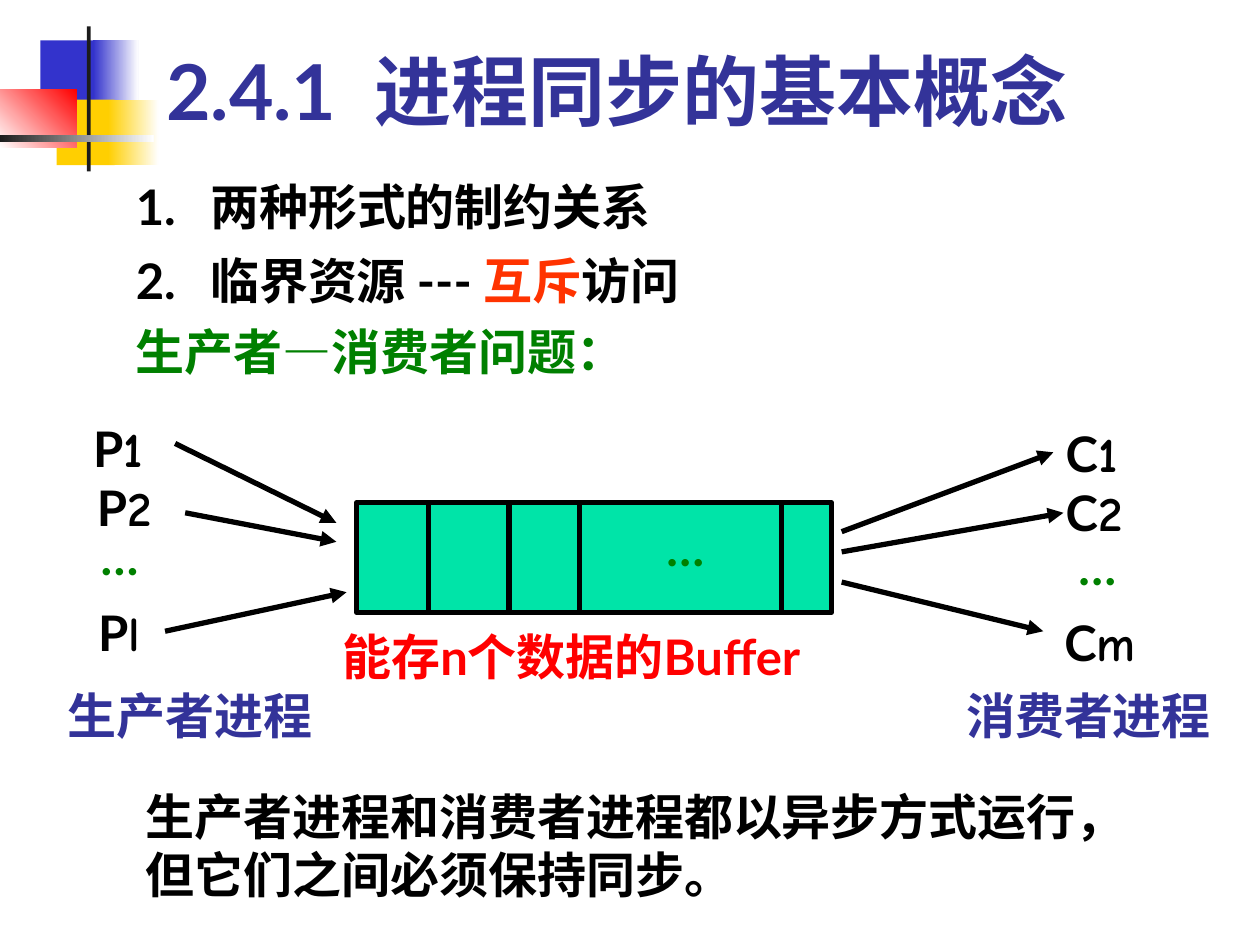
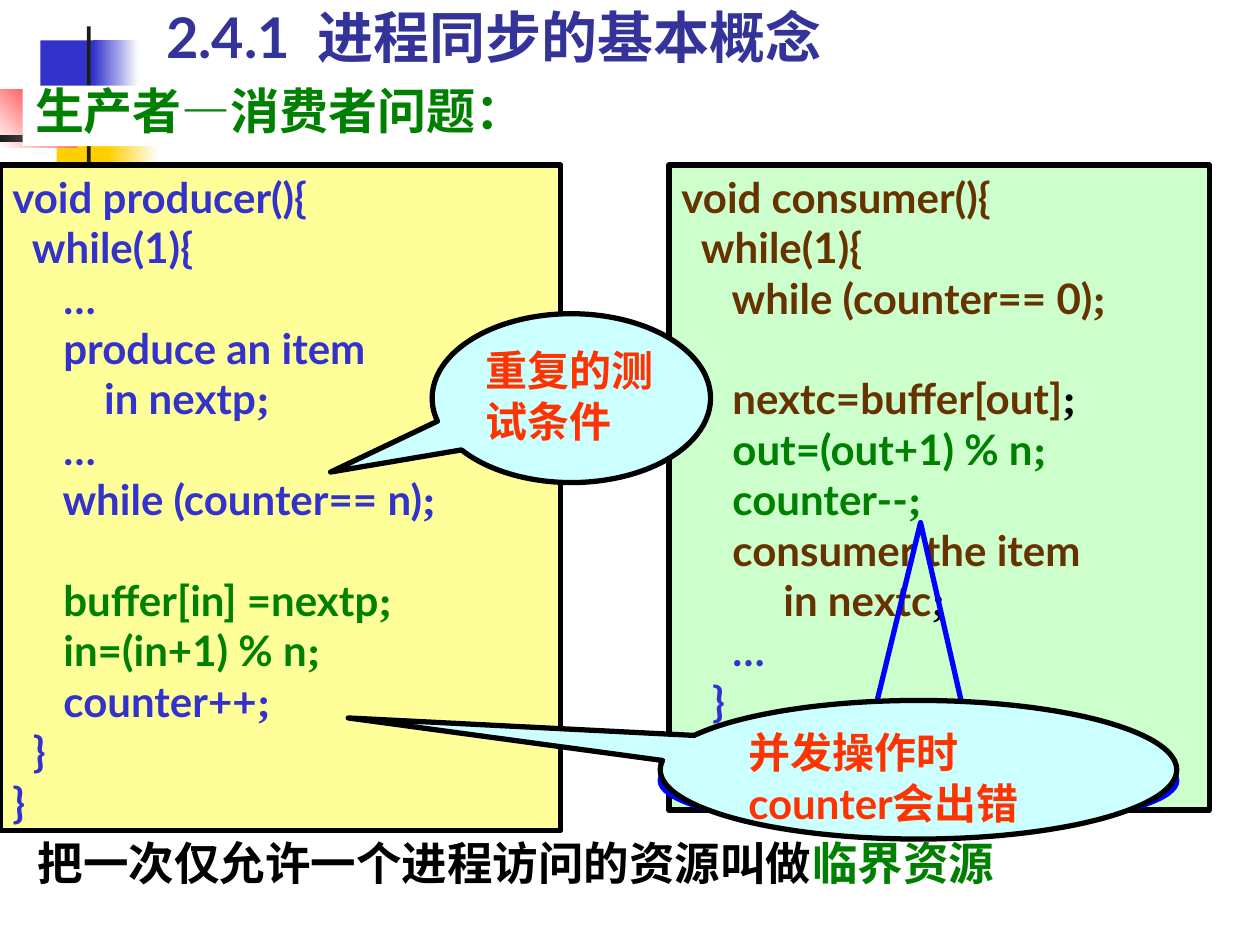
from pptx import Presentation
from pptx.dml.color import RGBColor
from pptx.enum.shapes import MSO_CONNECTOR, MSO_SHAPE
from pptx.enum.text import MSO_ANCHOR, MSO_AUTO_SIZE, PP_ALIGN
from pptx.oxml.ns import qn
from pptx.util import Inches, Pt
from lxml.etree import SubElement

# Colours
BLACK = RGBColor(0x00, 0x00, 0x00)
WHITE = RGBColor(0xFF, 0xFF, 0xFF)
CHARCOAL = RGBColor(0x1C, 0x1C, 0x1C)
BLUE = RGBColor(0x33, 0x33, 0xCC)
BRIGHT_BLUE = RGBColor(0x00, 0x00, 0xFF)
NAVY = RGBColor(0x33, 0x33, 0x99)
YELLOW = RGBColor(0xFF, 0xCF, 0x01)
RED = RGBColor(0xFF, 0x00, 0x00)
ORANGE = RGBColor(0xFF, 0x33, 0x00)
GREEN = RGBColor(0x00, 0x80, 0x00)
BROWN = RGBColor(0x66, 0x33, 0x00)
MINT = RGBColor(0x00, 0xE4, 0xA8)
PALE_YELLOW = RGBColor(0xFF, 0xFF, 0x99)
PALE_GREEN = RGBColor(0xCC, 0xFF, 0xCC)
PALE_CYAN = RGBColor(0xCC, 0xFF, 0xFF)

# Fonts and shared wording
MAIN_FONT = "Lato"
INDEX_FONT = "Comic Neue"
SEMICOLON_FONT = "Times New Roman"
TITLE = "2.4.1  进程同步的基本概念"
PROBLEM = "生产者—消费者问题："
LINE_WIDTH = Pt(3)
CODE_SIZE = 24
CODE_LINE = 1.2 * CODE_SIZE
NUMBER_TAB = Inches(0.59)

# Corner decoration: left, top, width, height, start colour, end colour, angle
CORNER_BLOCKS = [
    (0.32, 0.32, 0.48, 0.52, BLUE, None, 0),
    (0.74, 0.32, 0.36, 0.52, BLUE, WHITE, 0),
    (0.45, 0.79, 0.46, 0.52, YELLOW, None, 0),
    (0.86, 0.79, 0.4, 0.52, YELLOW, WHITE, 0),
    (0, 0.71, 0.61, 0.46, WHITE, RED, 45),
    (0.69, 0.21, 0.03, 1.15, CHARCOAL, None, 0),
    (0, 1.07, 1.22, 0.06, CHARCOAL, WHITE, 0),
]

# Code lines: text, colour, optional colour of the semicolon; None is an empty line
PRODUCER_CODE = [
    ("void producer(){", BLUE),
    ("  while(1){", BLUE),
    ("     …", BLUE),
    ("     produce an item", BLUE),
    ("         in nextp;", BLUE),
    ("     …", BLUE),
    ("     while (counter== n);", BLUE),
    None,
    ("     buffer[in] =nextp;", GREEN),
    ("     in=(in+1) % n;", GREEN),
    ("     counter++;", BLUE),
    ("  }", BLUE),
    ("}", BLUE),
]
CONSUMER_CODE = [
    ("void consumer(){", BROWN),
    ("  while(1){", BROWN),
    ("     while (counter== 0);", BROWN),
    None,
    ("     nextc=buffer[out];", BROWN, BLACK),
    ("     out=(out+1) % n;", GREEN),
    ("     counter--;", GREEN),
    ("     consumer the item", BROWN),
    ("          in nextc;", BROWN, BLACK),
    ("     …", BLUE),
    ("   }", BLUE),
    ("}", BLUE),
]


def place(left, top, width, height):
    return Inches(left), Inches(top), Inches(width), Inches(height)


def write(paragraph, runs, size, color):
    """Each run is a string or a (text, colour, font) tuple; None keeps the paragraph's."""
    paragraph.alignment = PP_ALIGN.LEFT
    font = paragraph.font
    font.name, font.size, font.bold = MAIN_FONT, Pt(size), True
    font.color.rgb = color
    for item in runs:
        text, run_color, run_font = (item, None, None) if isinstance(item, str) else item
        run = paragraph.add_run()
        run.text = text
        if run_color is not None:
            run.font.color.rgb = run_color
        if run_font is not None:
            run.font.name = run_font


def add_number_tab(paragraph):
    tabs = SubElement(paragraph._p.get_or_add_pPr(), qn("a:tabLst"))
    SubElement(tabs, qn("a:tab"), pos=str(int(NUMBER_TAB)), algn="l")


def add_text(slide, box, runs, size=28, color=BLACK, wrap=False, spacing=None, numbered=False):
    shape = slide.shapes.add_textbox(*place(*box))
    frame = shape.text_frame
    frame.word_wrap = wrap
    frame.auto_size = MSO_AUTO_SIZE.SHAPE_TO_FIT_TEXT
    paragraph = frame.paragraphs[0]
    if spacing:
        paragraph.line_spacing = spacing
    if numbered:
        add_number_tab(paragraph)
    write(paragraph, runs, size, color)
    return shape


def add_label(slide, box, *runs, color=BLACK):
    return add_text(slide, box, runs, color=color, spacing=0.8)


def add_title(slide, top, height, size):
    shape = add_text(slide, (1.22, top, 8.52, height), [TITLE], size, NAVY, wrap=True)
    shape.text_frame.auto_size = MSO_AUTO_SIZE.NONE
    shape.text_frame.vertical_anchor = MSO_ANCHOR.BOTTOM


def add_panel(slide, box, fill=None, line=None, kind=MSO_SHAPE.RECTANGLE):
    shape = slide.shapes.add_shape(kind, *place(*box))
    shape.shadow.inherit = False
    if fill is None:
        shape.fill.background()
    else:
        shape.fill.solid()
        shape.fill.fore_color.rgb = fill
    if line is None:
        shape.line.fill.background()
    else:
        shape.line.color.rgb = line
        shape.line.width = LINE_WIDTH
    shape.text_frame.word_wrap = True
    shape.text_frame.vertical_anchor = MSO_ANCHOR.TOP
    return shape


def add_corner(slide):
    for *box, start, end, angle in CORNER_BLOCKS:
        block = add_panel(slide, box, start)
        if end is not None:
            block.fill.gradient()
            block.fill.gradient_angle = angle
            for stop, color in zip(block.fill.gradient_stops, (start, end)):
                stop.color.rgb = color


def add_line(slide, start, end, arrow=False):
    points = [Inches(value) for value in (*start, *end)]
    connector = slide.shapes.add_connector(MSO_CONNECTOR.STRAIGHT, *points)
    connector.line.color.rgb = BLACK
    connector.line.width = LINE_WIDTH
    if arrow:
        SubElement(connector.line._get_or_add_ln(), qn("a:tailEnd"), type="triangle")
    SubElement(connector._element.spPr, qn("a:effectLst"))


def add_callout(slide, box, tip, text=None, fill=None, line=BLACK):
    callout = add_panel(slide, box, fill, line, MSO_SHAPE.OVAL_CALLOUT)
    callout.adjustments[0], callout.adjustments[1] = tip
    if text:
        write(callout.text_frame.paragraphs[0], [text], 24, ORANGE)


def add_code(slide, box, fill, lines):
    frame = add_panel(slide, box, fill, BLACK).text_frame
    paragraph = frame.paragraphs[0]
    after_gap = False
    for number, line in enumerate(lines):
        if line is None:
            after_gap = True
            continue
        if number:
            paragraph = frame.add_paragraph()
        if after_gap:
            paragraph.space_before = Pt(CODE_LINE)
            after_gap = False
        text, color, *semicolon_color = line
        runs = [text.rstrip(";")]
        if text.endswith(";"):
            runs.append((";", semicolon_color[0] if semicolon_color else None, SEMICOLON_FONT))
        write(paragraph, runs, CODE_SIZE, color)


def add_buffer(slide):
    top, bottom = 3.99, 4.85
    add_panel(slide, (2.83, top, 3.77, 0.87), MINT, BLACK)
    for x in (3.4, 4.04, 4.6, 6.2):
        add_line(slide, (x, top), (x, bottom))
    add_label(slide, (5.19, 4.15, 0.53, 0.48), "…", color=GREEN)
    add_label(slide, (2.62, 5.01, 4.29, 0.48), "能存n个数据的Buffer", color=RED)


def add_processes(slide):
    # Process names: left, top, width, letter, index
    for left, top, width, letter, index in [
        (0.64, 3.36, 0.66, "P", "1"),
        (0.67, 3.83, 0.72, "P", "2"),
        (0.68, 4.82, 0.56, "P", "l"),
        (8.36, 3.4, 0.67, "C", "1"),
        (8.36, 3.87, 0.67, "C", "2"),
        (8.35, 4.9, 0.83, "C", "m"),
    ]:
        add_label(slide, (left, top, width, 0.48), letter, (index, None, INDEX_FONT))
    for left, top in [(0.7, 4.22), (8.46, 4.3)]:
        add_label(slide, (left, top, 0.53, 0.48), "…", color=GREEN)

    # Arrows into and out of the buffer
    for start, end in [
        ((1.39, 3.52), (2.67, 4.15)),
        ((1.47, 4.07), (2.67, 4.3)),
        ((1.31, 5.01), (2.75, 4.7)),
        ((6.68, 4.22), (8.36, 3.59)),
        ((6.68, 4.38), (8.44, 4.07)),
        ((6.68, 4.62), (8.28, 5.01)),
    ]:
        add_line(slide, start, end, arrow=True)
    for left, name in [(0.44, "生产者进程"), (7.57, "消费者进程")]:
        add_label(slide, (left, 5.48, 2.14, 0.48), name, color=NAVY)


def build_concept_slide(slide):
    add_corner(slide)
    add_title(slide, 0.28, 0.85, 44)

    # Topics
    add_text(slide, (0.98, 1.35, 4.32, 0.57), ["1.\t两种形式的制约关系"], numbered=True)
    topics = add_text(
        slide, (0.98, 1.94, 8.5, 1.34),
        ["2.\t临界资源 --- ", ("互斥", ORANGE, None), "访问"], wrap=True, numbered=True)
    problem = topics.text_frame.add_paragraph()
    problem.space_before = Pt(7)
    write(problem, [PROBLEM], 28, GREEN)

    # Producer and consumer diagram
    add_buffer(slide)
    add_processes(slide)
    add_text(slide, (1.06, 6.19, 8.19, 1.04),
             ["生产者进程和消费者进程都以异步方式运行，但它们之间必须保持同步。"], wrap=True)


def build_code_slide(slide):
    add_corner(slide)
    add_code(slide, (0, 1.31, 4.45, 5.28), PALE_YELLOW, PRODUCER_CODE)
    add_code(slide, (5.31, 1.31, 4.29, 5.12), PALE_GREEN, CONSUMER_CODE)
    add_callout(slide, (3.43, 2.49, 2.21, 1.34), (-0.865, 0.438), "重复的测试条件", PALE_CYAN)
    add_title(slide, 0, 0.6, 32)

    # One warning that points at both counter updates
    add_callout(slide, (5.24, 5.8, 4.1, 0.79), (0.004, -2.592), line=BRIGHT_BLUE)
    add_callout(slide, (5.24, 5.56, 4.1, 1.1), (-1.104, -0.374),
                "并发操作时counter会出错", PALE_CYAN)

    # Heading and conclusion
    heading = add_label(slide, (0.18, 0.68, 4.08, 0.48), PROBLEM, color=GREEN)
    heading.fill.solid()
    heading.fill.fore_color.rgb = WHITE
    add_text(slide, (0.2, 6.66, 8.03, 0.45),
             ["把一次仅允许一个进程访问的资源叫做", ("临界资源", GREEN, None)],
             size=26, wrap=True, spacing=0.8)


def main():
    presentation = Presentation()
    presentation.slide_width, presentation.slide_height = Inches(10), Inches(7.5)
    blank = presentation.slide_layouts[6]
    for build in (build_concept_slide, build_code_slide):
        build(presentation.slides.add_slide(blank))
    presentation.save("out.pptx")


if __name__ == "__main__":
    main()
